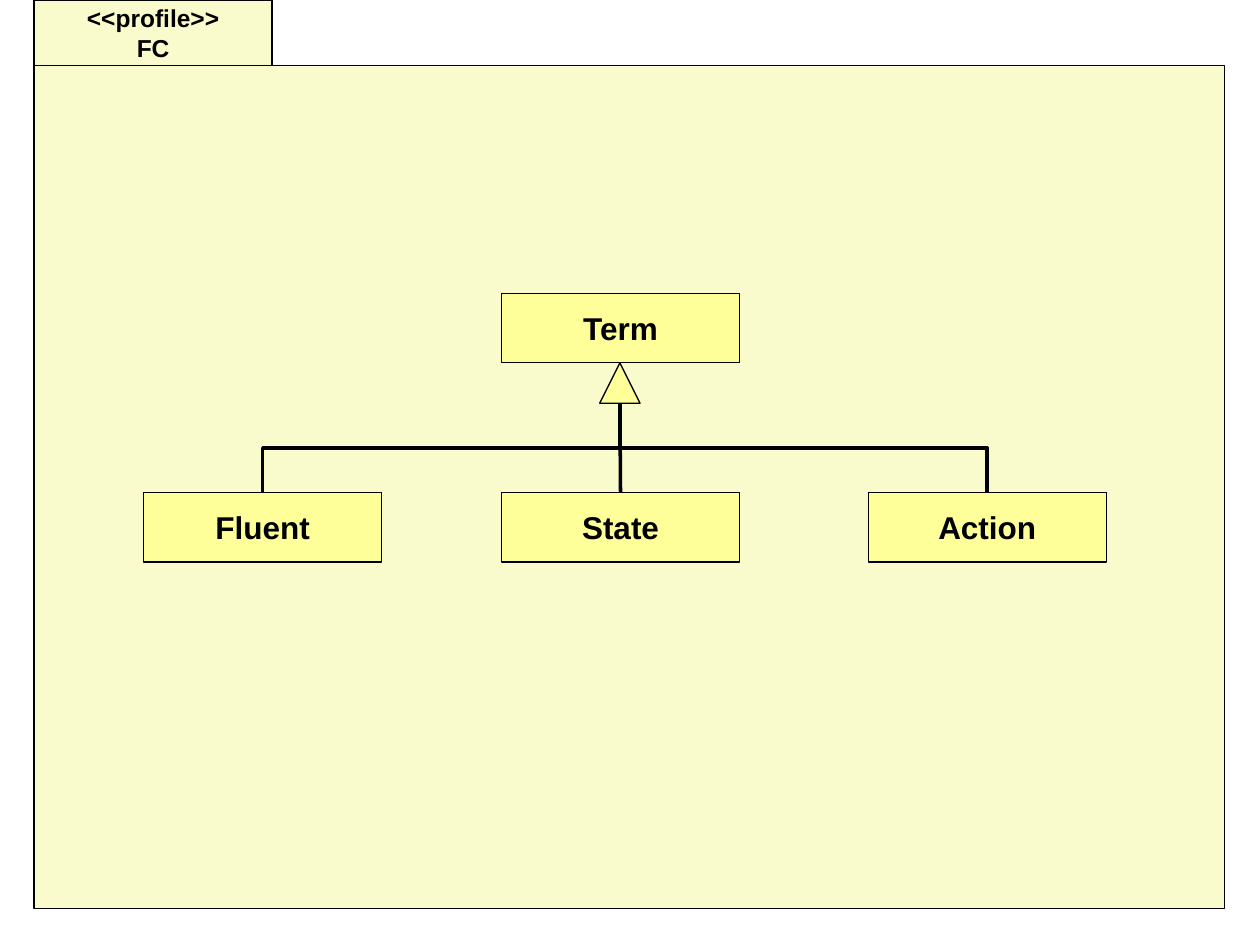
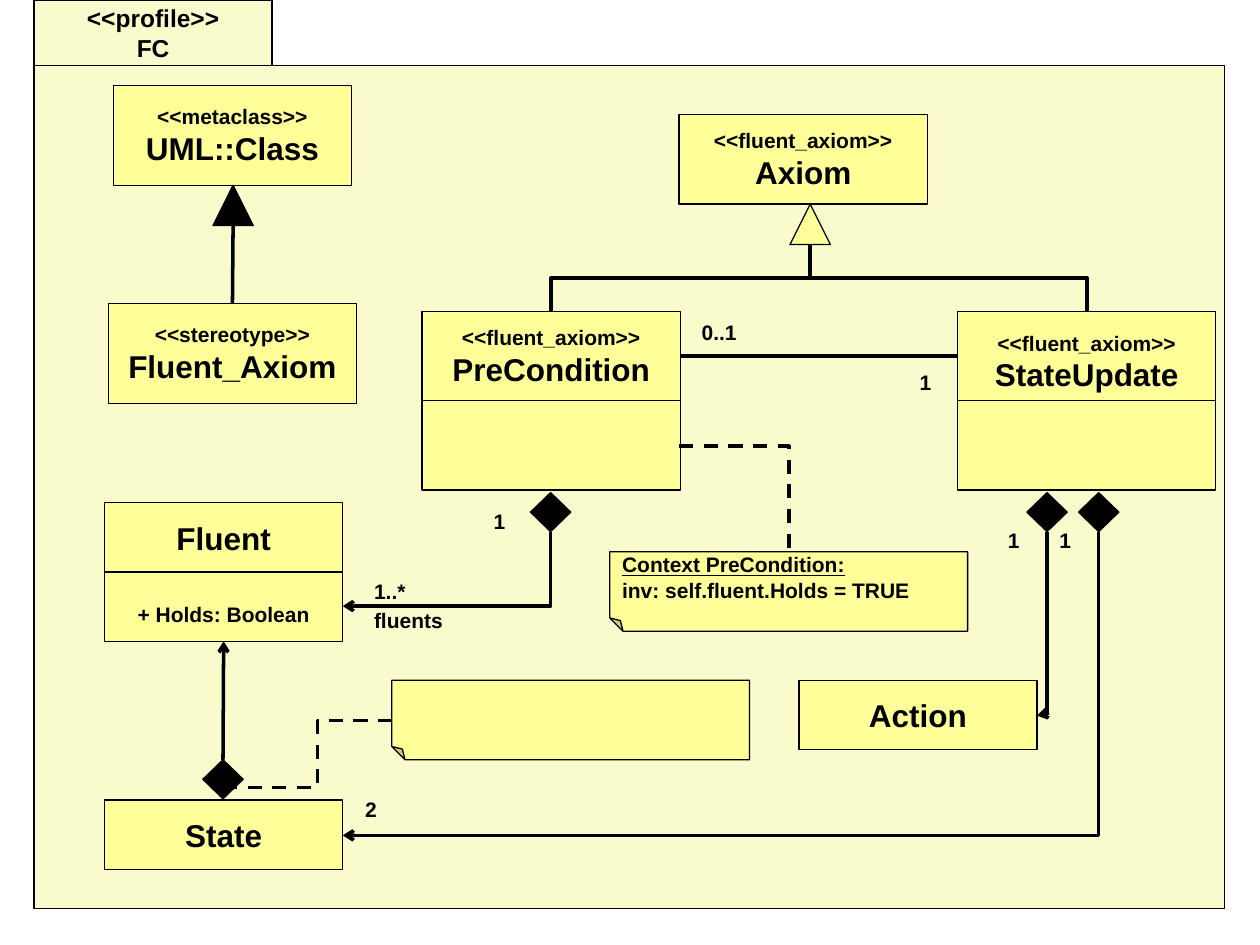
from lxml.etree import SubElement
from pptx import Presentation
from pptx.dml.color import RGBColor
from pptx.enum.dml import MSO_LINE
from pptx.enum.shapes import MSO_CONNECTOR, MSO_SHAPE
from pptx.enum.text import MSO_ANCHOR, PP_ALIGN
from pptx.oxml.ns import qn
from pptx.util import Inches, Pt

BLACK = RGBColor(0x00, 0x00, 0x00)
CREAM = RGBColor(0xFA, 0xFB, 0xCD)
YELLOW = RGBColor(0xFF, 0xFF, 0x99)
FONT = "Arial"
BOX_W, BOX_H = 1.89, 0.55
WIDE_W, WIDE_H = 2.05, 0.71
MARK = 0.32  # triangles and diamonds


def add_box(s, x, y, w, h, text="", shape=MSO_SHAPE.RECTANGLE, fill=YELLOW,
            sizes=(18,), align=PP_ALIGN.CENTER, anchor=MSO_ANCHOR.MIDDLE,
            top=0.05, underline_first=False):
    """Add a shape (or a text box if shape is None), one font size per line."""
    at = [Inches(v) for v in (x, y, w, h)]
    if shape is None:
        sp = s.shapes.add_textbox(*at)
    else:
        sp = s.shapes.add_shape(shape, *at)
        sp.shadow.inherit = False
        sp.fill.solid()
        sp.fill.fore_color.rgb = fill
        sp.line.color.rgb = BLACK
        sp.line.width = Pt(0.75)
    if text:
        tf = sp.text_frame
        tf.word_wrap = True
        tf.vertical_anchor = anchor
        tf.margin_top = Inches(top)
        tf.text = text
        for i, (p, size) in enumerate(zip(tf.paragraphs, sizes)):
            p.alignment = align
            font = p.runs[0].font
            font.name, font.size, font.bold = FONT, Pt(size), True
            font.color.rgb = BLACK
            if underline_first and i == 0:
                font.underline = True
    return sp


def add_link(s, start, end, prst="line", down=False, arrow=False, dash=False,
             bend=None):
    """Add a connector; down makes an elbow leave its start vertically."""
    (x1, y1), (x2, y2) = start, end
    turn = 0
    if down:
        # An elbow leaves horizontally, so lay it out turned by a quarter
        turn = 270 if x2 > x1 else 90
        cx, cy = (x1 + x2) / 2, (y1 + y2) / 2
        half_w, half_h = (y2 - y1) / 2, abs(x2 - x1) / 2
        if turn == 270:
            half_w = -half_w
        x1, x2, y1, y2 = cx - half_w, cx + half_w, cy - half_h, cy + half_h
    c = s.shapes.add_connector(MSO_CONNECTOR.ELBOW,
                               *[Inches(v) for v in (x1, y1, x2, y2)])
    c.line.color.rgb = BLACK
    c.line.width = Pt(2)
    if dash:
        c.line.dash_style = MSO_LINE.DASH
    spPr = c._element.spPr
    if turn:
        spPr.find(qn("a:xfrm")).set("rot", str(turn * 60000))
    geom = spPr.find(qn("a:prstGeom"))
    geom.set("prst", prst)
    if bend is not None:
        SubElement(geom.find(qn("a:avLst")), qn("a:gd"), name="adj1",
                   fmla=f"val {round(bend * 100000)}")
    if arrow:
        SubElement(spPr.find(qn("a:ln")), qn("a:tailEnd"), type="arrow")
    SubElement(spPr, qn("a:effectLst"))
    return c


prs = Presentation()
prs.slide_width, prs.slide_height = Inches(10), Inches(7.5)

# Package frame and tab, on both slides
slides = [prs.slides.add_slide(prs.slide_layouts[6]) for _ in range(2)]
for s in slides:
    add_box(s, 0.27, 0.52, 9.45, 6.69, fill=CREAM)
    add_box(s, 0.27, 0, BOX_W, 0.52, "<<profile>>\nFC", fill=CREAM, sizes=(14, 14))

# Slide 1: kinds of term
s = slides[0]
fork = (4.92, 3.2)
add_box(s, 3.98, 2.33, BOX_W, BOX_H, "Term")
add_box(s, fork[0] - MARK / 2, 2.88, MARK, MARK, shape=MSO_SHAPE.ISOSCELES_TRIANGLE)
for x, name in ((1.14, "Fluent"), (3.98, "State"), (6.89, "Action")):
    term = add_box(s, x, 3.91, BOX_W, BOX_H, name)
    top_middle = (x + BOX_W / 2, 3.91)
    if name == "State":
        add_link(s, fork, top_middle).end_connect(term, 0)
    else:
        add_link(s, fork, top_middle, "bentConnector3", down=True)

# Slide 2: stereotype and metaclass
s = slides[1]
add_box(s, 0.9, 0.68, BOX_W, 0.79, "<<metaclass>>\nUML::Class", sizes=(12, 18))
stereotype = add_box(s, 0.86, 2.41, 1.97, 0.79, "<<stereotype>>\nFluent_Axiom",
                     sizes=(12, 18))
add_box(s, 1.69, 1.47, MARK, MARK, shape=MSO_SHAPE.ISOSCELES_TRIANGLE, fill=BLACK)
add_link(s, (1.84, 2.41), (1.85, 1.78)).begin_connect(stereotype, 0)

# Axioms
add_box(s, 5.39, 0.91, 1.97, WIDE_H, "<<fluent_axiom>>\nAxiom", sizes=(12, 18))
add_box(s, 6.27, 1.62, MARK, MARK, shape=MSO_SHAPE.ISOSCELES_TRIANGLE)
axioms = []
for x, name, top in ((3.35, "PreCondition", 0.05), (7.6, "StateUpdate", 0.14)):
    axioms.append(add_box(s, x, 2.47, WIDE_W, WIDE_H, f"<<fluent_axiom>>\n{name}",
                          sizes=(12, 18), top=top))
    add_box(s, x, 2.47 + WIDE_H, WIDE_W, WIDE_H)
    add_link(s, (6.43, 1.94), (x + WIDE_W / 2, 2.47), "bentConnector3", down=True)
precondition, state_update = axioms
c = add_link(s, (7.6, 2.83), (5.39, 2.83))
c.begin_connect(state_update, 1)
c.end_connect(precondition, 3)

# Fluent, State and Action
add_box(s, 0.83, 3.99, BOX_W, BOX_H, "Fluent")
attributes = add_box(s, 0.83, 3.99 + BOX_H, BOX_W, BOX_H, "+ Holds: Boolean",
                     sizes=(12,), top=0.17)
add_box(s, 0.83, 6.35, BOX_W, BOX_H, "State")
add_box(s, 6.34, 5.4, BOX_W, BOX_H, "Action")

# Compositions
state_diamond, *_ = [
    add_box(s, x - MARK / 2, y, MARK, 0.31, shape=MSO_SHAPE.DIAMOND, fill=BLACK)
    for x, y in ((1.77, 6.03), (4.37, 3.91), (8.31, 3.91), (8.72, 3.91))]
c = add_link(s, (1.77, 6.03), (1.77, 5.09), arrow=True)
c.begin_connect(state_diamond, 0)
c.end_connect(attributes, 2)
for x, target in ((4.37, (2.72, 4.81)), (8.31, (8.23, 5.68)), (8.72, (2.72, 6.63))):
    add_link(s, (x, 4.22), target, "bentConnector2", down=True, arrow=True)

# Notes
add_box(s, 4.84, 4.38, 2.84, 0.63,
        "Context PreCondition:\ninv: self.fluent.Holds = TRUE",
        shape=MSO_SHAPE.FOLDED_CORNER, sizes=(12, 12), align=PP_ALIGN.LEFT,
        anchor=MSO_ANCHOR.TOP, top=0, underline_first=True)
add_box(s, 3.11, 5.4, 2.84, 0.63, shape=MSO_SHAPE.FOLDED_CORNER)
for sp in s.shapes:
    if sp.name.startswith("Folded"):
        sp._element.spPr.find(qn("a:xfrm")).set("flipH", "1")
add_link(s, (5.39, 3.54), (6.26, 4.38), "bentConnector2", dash=True)
add_link(s, (1.77, 6.25), (3.11, 5.72), "bentConnector3", dash=True, bend=0.56)

# Multiplicities and role
for x, y, w, label in ((2.87, 4.54, 0.55, "1..*"), (2.87, 4.77, 0.95, "fluents"),
                       (3.82, 3.99, 0.31, "1"), (5.47, 2.49, 0.55, "0..1"),
                       (7.2, 2.88, 0.31, "1"), (7.9, 4.14, 0.31, "1"),
                       (8.31, 4.14, 0.31, "1"), (2.8, 6.27, 0.31, "2")):
    add_box(s, x, y, w, 0.3, label, shape=None, sizes=(12,), align=PP_ALIGN.LEFT,
            anchor=MSO_ANCHOR.TOP)

prs.save("out.pptx")
